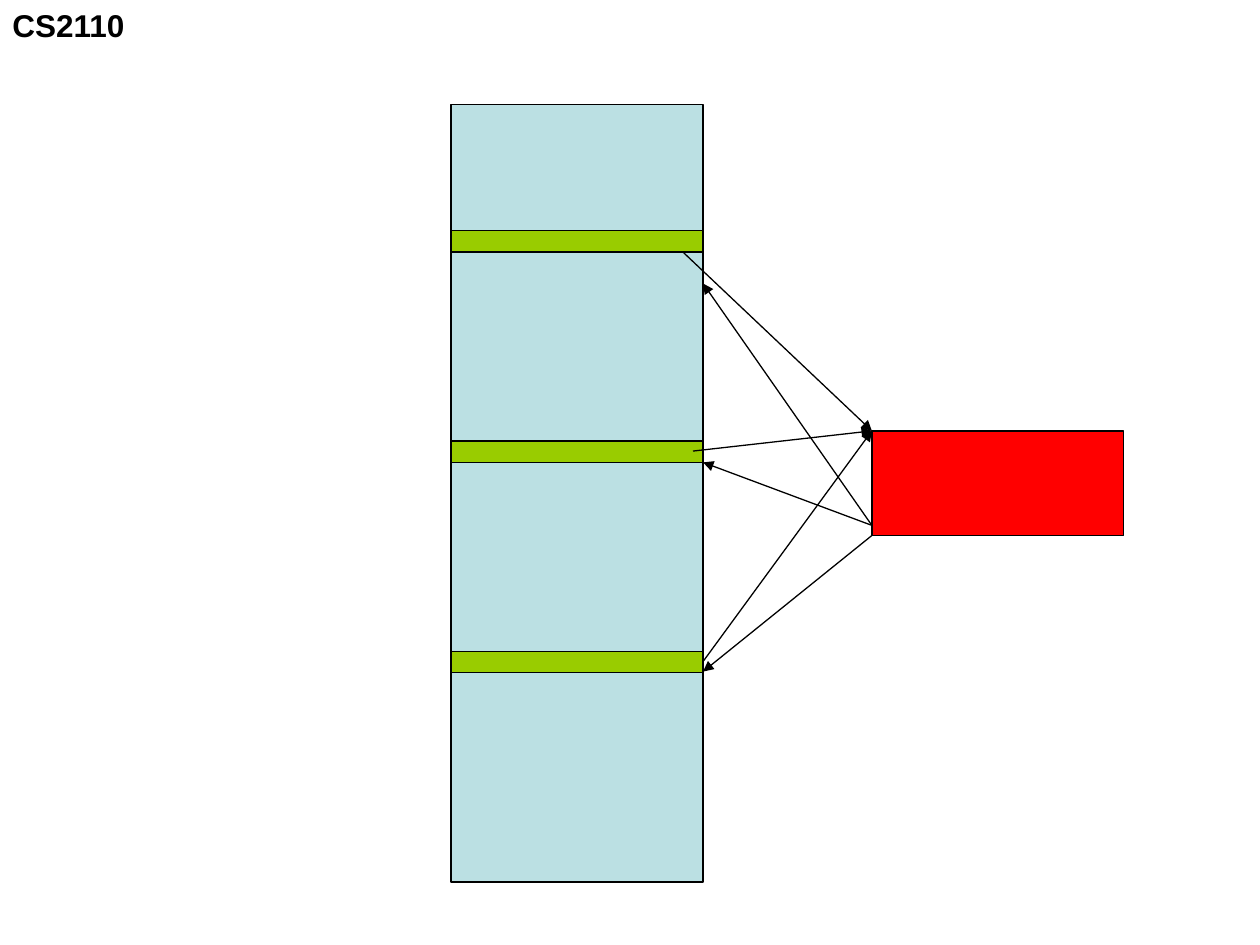
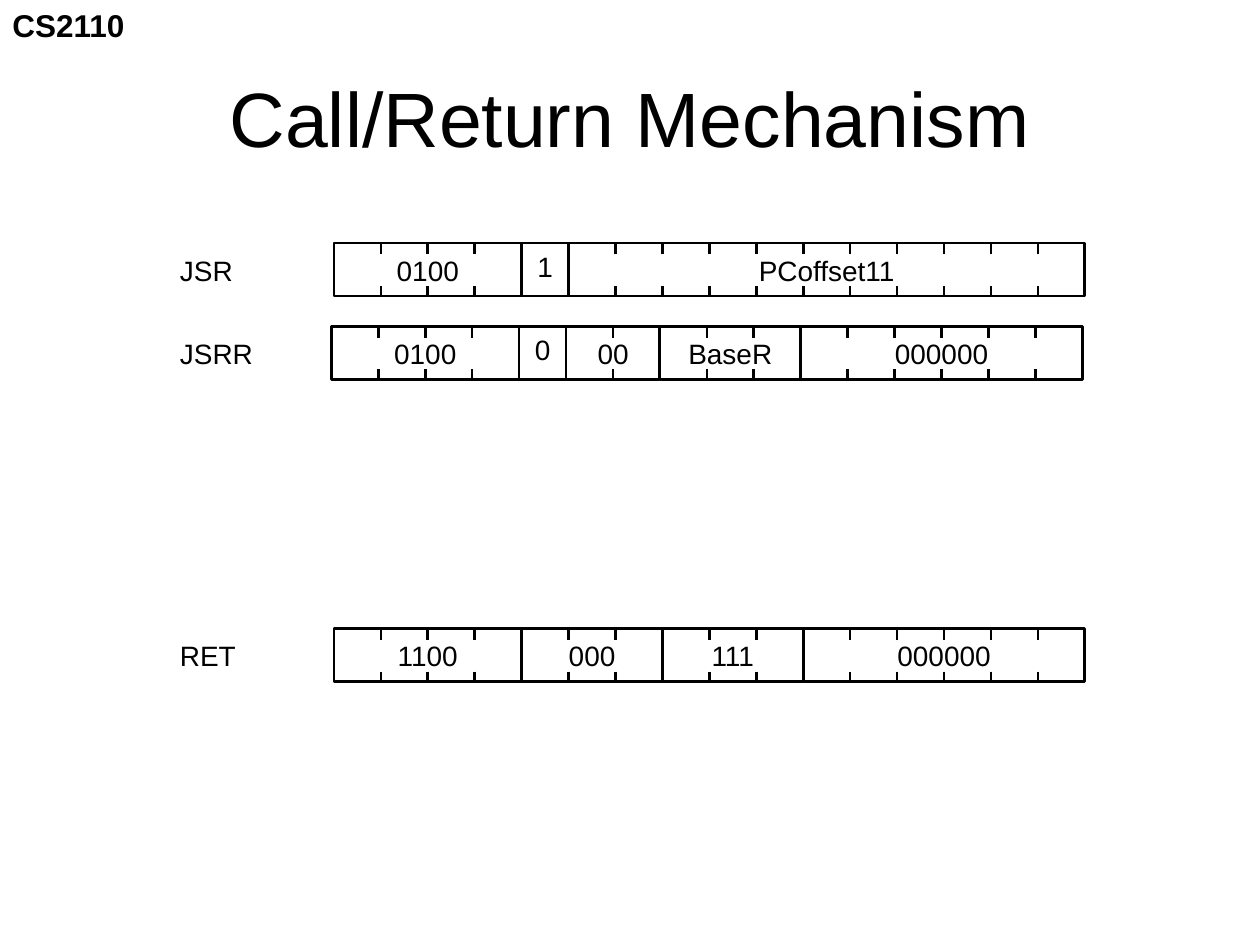
import pptx
import pptx.util
import pptx.dml.color
import pptx.enum.shapes
import pptx.enum.text
import pptx.oxml
import pptx.oxml.ns
from dataclasses import dataclass

Inches, Pt = pptx.util.Inches, pptx.util.Pt
Align, Anchor = pptx.enum.text.PP_ALIGN, pptx.enum.text.MSO_ANCHOR
Fit = pptx.enum.text.MSO_AUTO_SIZE
RECT = pptx.enum.shapes.MSO_SHAPE.RECTANGLE
STRAIGHT = pptx.enum.shapes.MSO_CONNECTOR.STRAIGHT


@dataclass(frozen=True)
class Theme:
    ink: str = "000000"
    page: str = "FFFFFF"
    main: str = "BBE0E3"
    call: str = "99CC00"
    sub: str = "FF0000"
    font: str = "Arial"
    title: int = 44
    tag: int = 18
    body: int = 16
    thin: float = 0.75
    thick: float = 1.5


THEME = Theme()

# Content: program and subroutine blocks
TAG = "CS2110"
MAIN = (3.58, 0.83, 2, 6.17)
SUB = (6.92, 3.42, 2, 0.83)
CALLS = 3
FIRST, STEP, DEPTH = 1.83, 1.67, 0.17
JUMPS = [
    ((5.42, 2), (6.92, 3.42)),
    ((6.92, 4.17), (5.58, 2.25)),
    ((5.5, 3.58), (6.92, 3.42)),
    ((6.92, 4.17), (5.58, 3.67)),
    ((5.58, 5.25), (6.92, 3.42)),
    ((6.92, 4.25), (5.58, 5.33)),
]

# Content: name, name width, left, top, fields of (text, bits, text width)
TITLE = "Call/Return Mechanism"
CODES = [
    ("JSR", 0.62, 2.65, 1.93,
     [("0100", 4, 0.69), ("1", 1, 0), ("PCoffset11", 11, 1.3)]),
    ("JSRR", 0.78, 2.63, 2.59,
     [("0100", 4, 0.69), ("0", 1, 0), ("00", 2, 0.45),
      ("BaseR", 3, 0.87), ("000000", 6, 0.94)]),
    ("RET", 0.64, 2.65, 4.99,
     [("1100", 4, 0.69), ("000", 3, 0.57), ("111", 3, 0.57),
      ("000000", 6, 0.94)]),
]
BIT, HIGH, TICK = 0.3725, 0.42, 0.09
NAME_X, DROP, LINE = 1.33, 0.03, 0.37


def color(code):
    return pptx.dml.color.RGBColor.from_string(code)


def write(shape, text, size=THEME.body, bold=False, align=Align.LEFT,
          anchor=Anchor.TOP, wrap=True):
    frame = shape.text_frame
    frame.word_wrap = wrap
    frame.vertical_anchor = anchor
    para = frame.paragraphs[0]
    para.alignment = align
    run = para.add_run()
    run.text = text
    run.font.name = THEME.font
    run.font.size = Pt(size)
    run.font.bold = bold
    run.font.color.rgb = color(THEME.ink)


def label(shapes, text, x, y, w, h, **style):
    box = shapes.add_textbox(*map(Inches, (x, y, w, h)))
    write(box, text, wrap=False, **style)
    box.text_frame.auto_size = Fit.SHAPE_TO_FIT_TEXT


def block(shapes, x, y, w, h, fill=None, width=THEME.thin):
    box = shapes.add_shape(RECT, *map(Inches, (x, y, w, h)))
    box.shadow.inherit = False
    if fill:
        box.fill.solid()
        box.fill.fore_color.rgb = color(fill)
    else:
        box.fill.background()
    box.line.color.rgb = color(THEME.ink)
    box.line.width = Pt(width)
    return box


def stroke(shapes, start, end, width=THEME.thin, head=False):
    line = shapes.add_connector(STRAIGHT, *map(Inches, (*start, *end)))
    line.line.color.rgb = color(THEME.ink)
    line.line.width = Pt(width)
    if head:
        tip = pptx.oxml.parse_xml(
            '<a:tailEnd %s type="triangle"/>' % pptx.oxml.ns.nsdecls("a"))
        line.line._get_or_add_ln().append(tip)
    line._element.spPr.append(
        pptx.oxml.parse_xml("<a:effectLst %s/>" % pptx.oxml.ns.nsdecls("a")))


def page(deck, layout):
    slide = deck.slides.add_slide(deck.slide_layouts[layout])
    slide.background.fill.solid()
    slide.background.fill.fore_color.rgb = color(THEME.page)
    label(slide.shapes, TAG, 0, 0, 1.1, 0.4, size=THEME.tag, bold=True)
    return slide


def field(shapes, text, bits, width, x, y):
    wide = bits * BIT
    box = block(shapes, x, y, wide, HIGH, width=THEME.thick)
    if bits == 1:
        write(box, text, align=Align.CENTER)
        return
    # Ticks mark each bit on the upper and lower edges
    for n in range(1, bits):
        at = x + n * BIT
        for top in (y, y + HIGH - TICK + 0.01):
            stroke(shapes, (at, top), (at, top + TICK), THEME.thick)
    label(shapes, text, x + (wide - width) / 2, y + DROP, width, LINE,
          align=Align.CENTER)


deck = pptx.Presentation()
deck.slide_width, deck.slide_height = Inches(10), Inches(7.5)

# Slide 1: three calls to one subroutine
shapes = page(deck, 6).shapes
block(shapes, *MAIN, fill=THEME.main)
block(shapes, *SUB, fill=THEME.sub)
for n in range(CALLS):
    block(shapes, MAIN[0], FIRST + n * STEP, MAIN[2], DEPTH, fill=THEME.call)
for start, end in JUMPS:
    stroke(shapes, start, end, head=True)

# Slide 2: instruction formats
slide = page(deck, 5)
title = slide.shapes.title
title.left, title.top, title.width, title.height = map(
    Inches, (0.5, 0.3, 9, 1.25))
write(title, TITLE, size=THEME.title, align=Align.CENTER, anchor=Anchor.MIDDLE)
for name, width, x, y, fields in CODES:
    group = slide.shapes.add_group_shape().shapes
    label(group, name, NAME_X, y + DROP, width, LINE)
    for text, bits, wide in fields:
        field(group, text, bits, wide, x, y)
        x += bits * BIT

deck.save("out.pptx")
